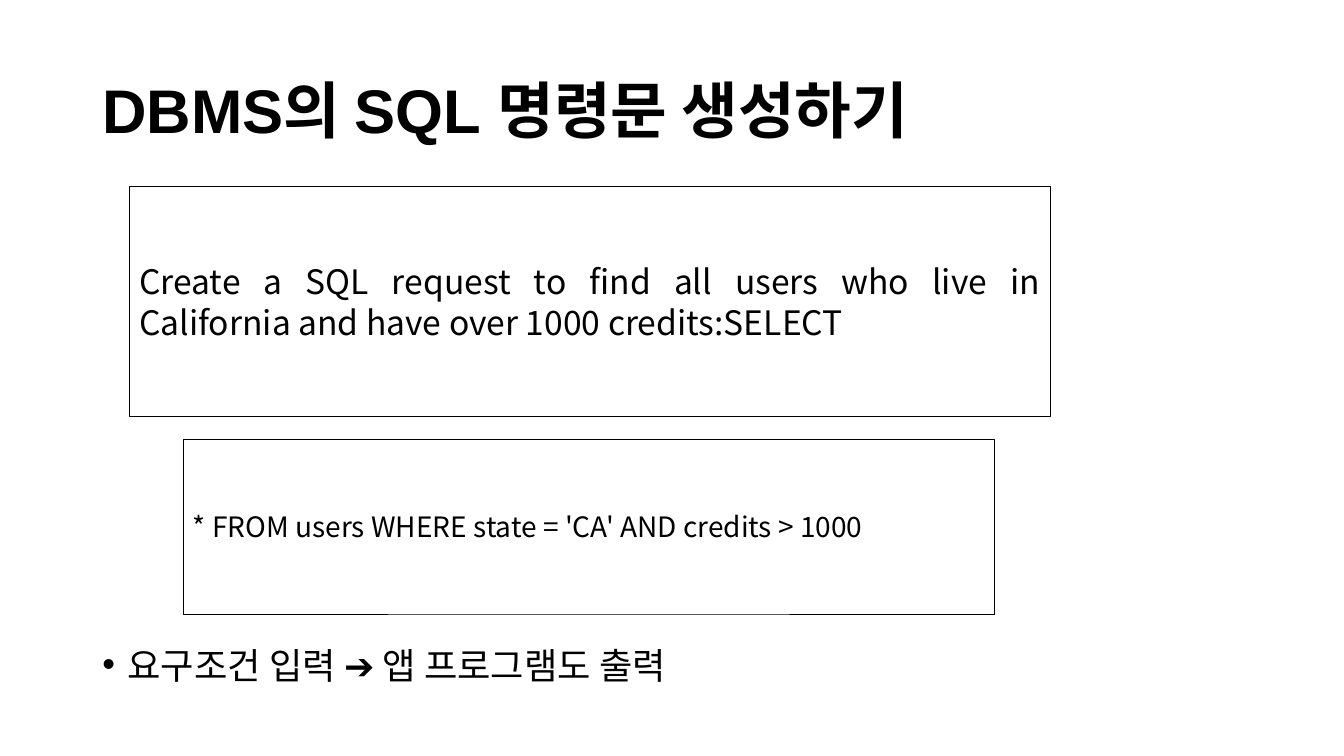
from dataclasses import dataclass

from lxml.etree import SubElement
from pptx import Presentation
from pptx.dml.color import RGBColor as RGB
from pptx.enum.shapes import MSO_SHAPE as Shape
from pptx.enum.text import MSO_ANCHOR as Anchor, PP_ALIGN as Align
from pptx.oxml.ns import qn
from pptx.util import Inches, Pt


@dataclass(frozen=True)
class Theme:
    ink: RGB = RGB(0, 0, 0)
    paper: RGB = RGB(255, 255, 255)
    border: float = 0.33
    heading: str = "Arial"
    body: str = "Times New Roman"
    sans: str = "Noto Sans CJK KR"
    title_size: float = 44
    bullet_size: float = 25.9
    prompt_size: float = 24
    result_size: float = 20


def write(tf, text, *, font, size, color, east, bold=False, align=Align.LEFT,
          spacing=1.0, bullet=None, indent=0.25):
    tf.word_wrap = True
    tf.vertical_anchor = Anchor.MIDDLE
    p = tf.paragraphs[0]
    p.alignment = align
    p.line_spacing = spacing
    if bullet:
        pPr = p._p.get_or_add_pPr()
        pPr.set("marL", str(Inches(indent)))
        pPr.set("indent", str(-Inches(indent)))
        SubElement(pPr, qn("a:buFont")).set("typeface", "Arial")
        SubElement(pPr, qn("a:buChar")).set("char", bullet)
    r = p.add_run()
    r.text = text
    r.font.name = font
    r.font.size = Pt(size)
    r.font.bold = bold
    r.font.color.rgb = color
    SubElement(r._r.get_or_add_rPr(), qn("a:ea")).set("typeface", east)


class Deck:
    COLS, ROWS = 160, 90

    def __init__(self, theme):
        self.theme = theme
        self.prs = Presentation()
        self.prs.slide_width = Inches(13.33)
        self.prs.slide_height = Inches(7.5)
        self.s = self.prs.slides.add_slide(self.prs.slide_layouts[6])

    def place(self, col, row, cols, rows):
        x = self.prs.slide_width / self.COLS
        y = self.prs.slide_height / self.ROWS
        return [round(v) for v in (col * x, row * y, cols * x, rows * y)]

    def text(self, cell, text, **fmt):
        sp = self.s.shapes.add_textbox(*self.place(*cell))
        write(sp.text_frame, text, color=self.theme.ink,
              east=self.theme.sans, **fmt)

    def box(self, cell, text, size):
        t = self.theme
        sp = self.s.shapes.add_shape(Shape.RECTANGLE, *self.place(*cell))
        sp.shadow.inherit = False
        sp.fill.solid()
        sp.fill.fore_color.rgb = t.paper
        sp.line.color.rgb = t.ink
        sp.line.width = Pt(t.border)
        write(sp.text_frame, text, font=t.sans, size=size, color=t.ink,
              east=t.sans, align=Align.JUSTIFY)


def main():
    t = Theme()
    deck = Deck(t)
    deck.text((11, 4.8, 138, 17.4), "DBMS의 SQL 명령문 생성하기",
              font=t.heading, size=t.title_size, bold=True, spacing=0.9)
    deck.box((15.4, 22.2, 109.6, 27.4),
             "Create a SQL request to find all users who live in California "
             "and have over 1000 credits:SELECT", t.prompt_size)
    deck.box((21.8, 52.3, 96.6, 20.8),
             "* FROM users WHERE state = 'CA' AND credits > 1000",
             t.result_size)
    deck.text((11, 75.6, 138, 8), "요구조건 입력 ➔ 앱 프로그램도 출력",
              font=t.body, size=t.bullet_size, spacing=0.8, bullet="•")
    deck.prs.save("out.pptx")


if __name__ == "__main__":
    main()
